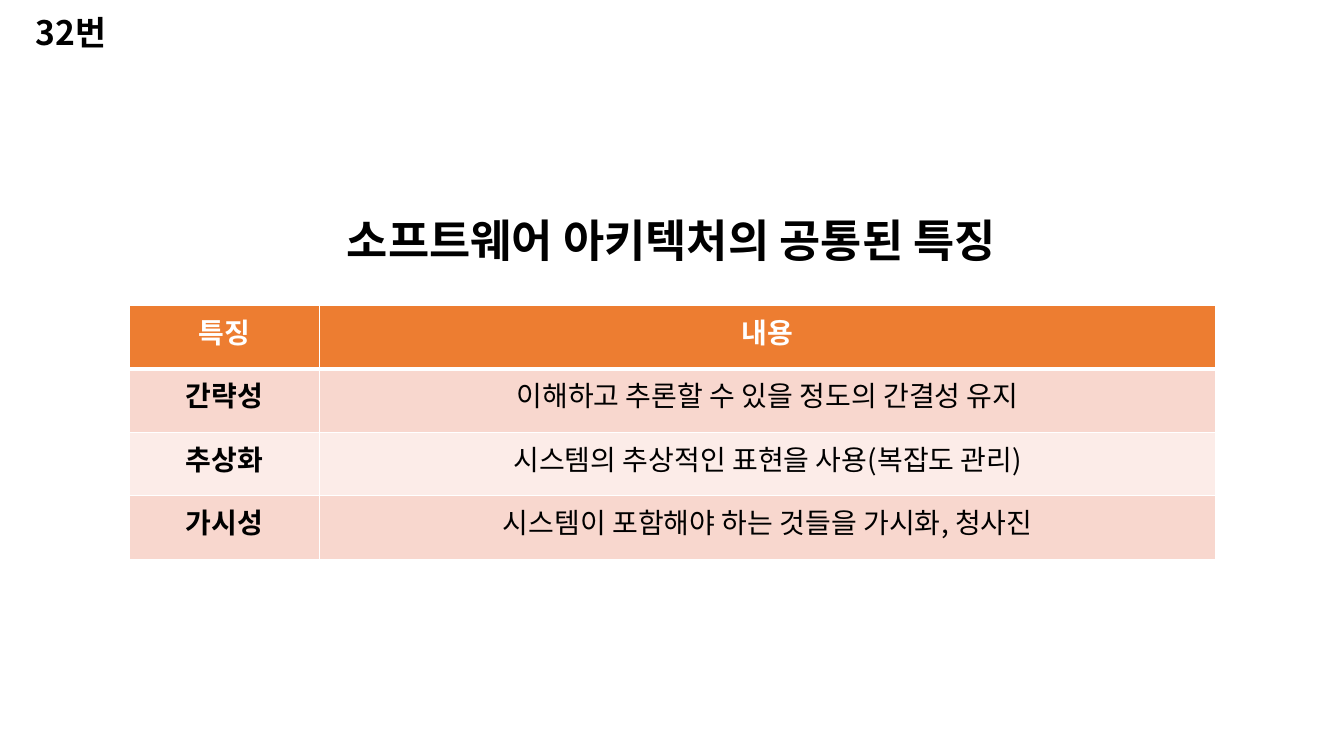
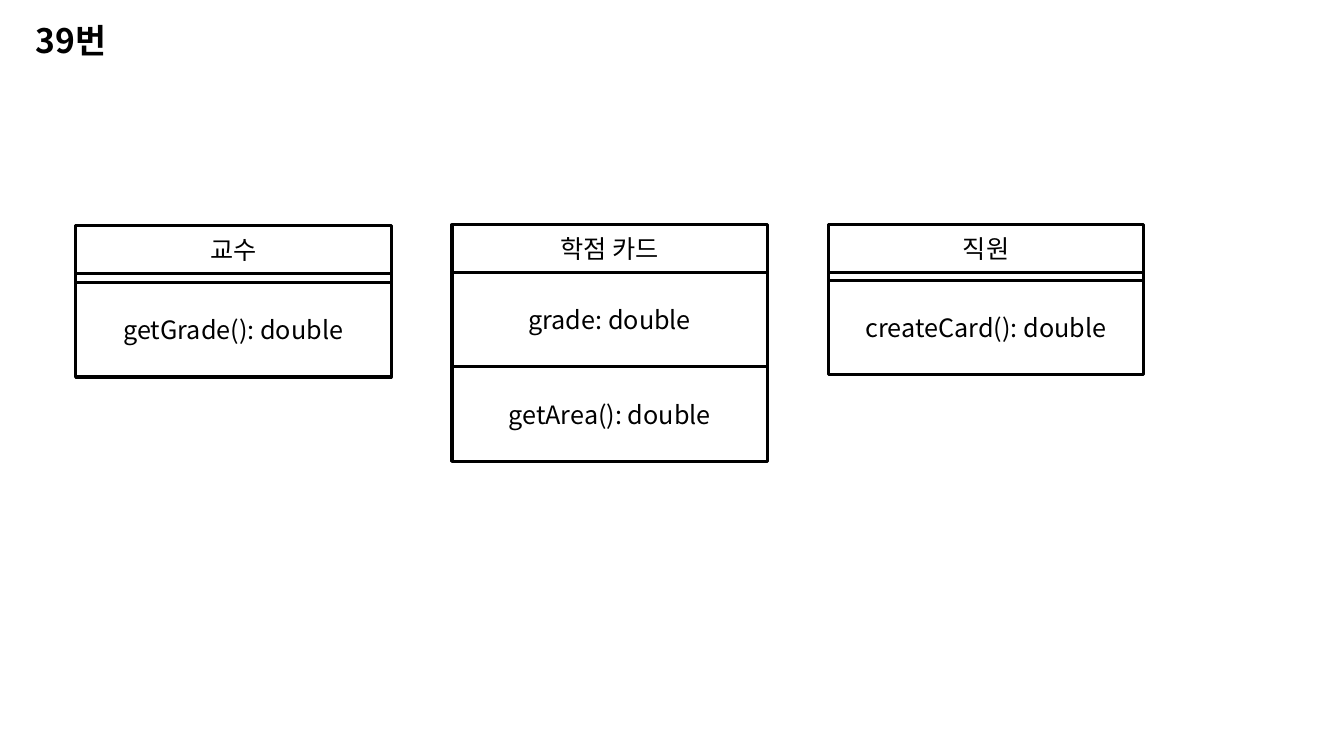
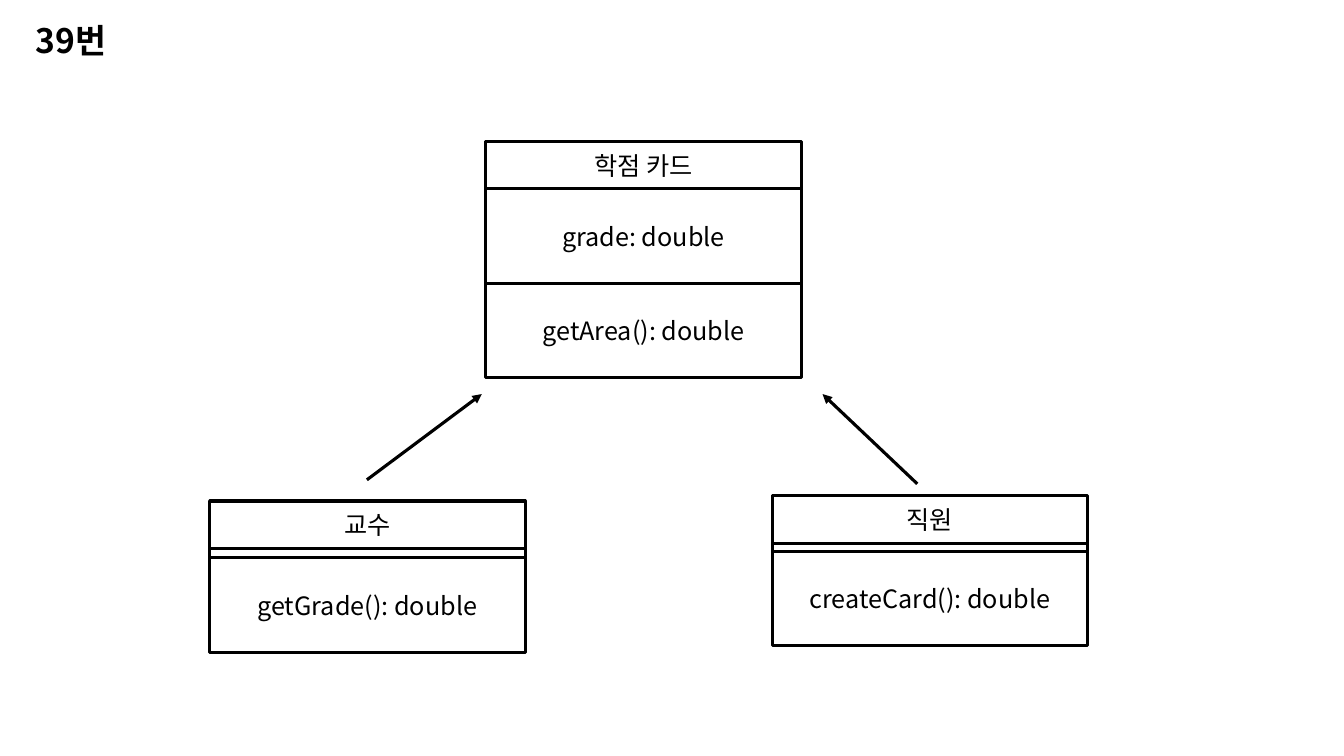
import pptx
import pptx.util
import pptx.dml.color
import pptx.enum.shapes
import pptx.enum.text
import pptx.oxml.ns
from lxml import etree

COLORS = {
    "ink": "000000",
    "paper": "FFFFFF",
    "header": "ED7D31",
    "band_dark": "F8D7CE",
    "band_light": "FCECE8",
}
FONT = "Noto Sans CJK KR"
SLIDE_WIDTH = pptx.util.Inches(13.33)
SLIDE_HEIGHT = pptx.util.Inches(7.5)
OUTLINE = pptx.util.Pt(2.25)
ALIGN = pptx.enum.text.PP_ALIGN
ANCHOR = pptx.enum.text.MSO_ANCHOR

CLASS_WIDTH = 23.47
NAME_HEIGHT = 6.3
MEMBER_HEIGHT = 12.5
PROFESSOR = [("교수", NAME_HEIGHT), ("", 1.2), ("getGrade(): double", MEMBER_HEIGHT)]
GRADE_CARD = [("학점 카드", NAME_HEIGHT), ("grade: double", MEMBER_HEIGHT),
              ("getArea(): double", MEMBER_HEIGHT)]
STAFF = [("직원", NAME_HEIGHT), ("", 1.1), ("createCard(): double", 12.4)]

FEATURES = [
    ("특징", "내용"),
    ("간략성", "이해하고 추론할 수 있을 정도의 간결성 유지"),
    ("추상화", "시스템의 추상적인 표현을 사용(복잡도 관리)"),
    ("가시성", "시스템이 포함해야 하는 것들을 가시화, 청사진"),
]


def across(percent):
    return round(SLIDE_WIDTH * percent / 100)


def down(percent):
    return round(SLIDE_HEIGHT * percent / 100)


def area(left, top, width, height):
    return across(left), down(top), across(width), down(height)


def rgb(name):
    return pptx.dml.color.RGBColor.from_string(COLORS[name])


def add_node(parent, tag, **attributes):
    return etree.SubElement(parent, pptx.oxml.ns.qn(tag), attributes)


def write(frame, text, size, color="ink", bold=False, align=ALIGN.CENTER):
    frame.text = text
    for paragraph in frame.paragraphs:
        paragraph.alignment = align
        for run in paragraph.runs:
            run.font.size = pptx.util.Pt(size)
            run.font.bold = bold
            run.font.color.rgb = rgb(color)
            run.font.name = FONT
            add_node(run.font._element, "a:ea", typeface=FONT)


def add_question(deck, number, top):
    slide = deck.slides.add_slide(deck.slide_layouts[5])
    title = slide.shapes.title
    title.left, title.top, title.width, title.height = area(1.88, top, 7.58, 6.67)
    frame = title.text_frame
    write(frame, number, 24, bold=True, align=ALIGN.LEFT)
    frame.word_wrap = False
    frame.auto_size = pptx.enum.text.MSO_AUTO_SIZE.NONE
    frame.vertical_anchor = ANCHOR.TOP
    return slide


def add_heading(slide, text):
    heading = slide.shapes.add_textbox(*area(17.1, 27.47, 65.78, 8.53))
    heading.text_frame.word_wrap = True
    write(heading.text_frame, text, 32, bold=True)


def add_borders(cell, bottom_points):
    properties = cell._tc.get_or_add_tcPr()
    for side, points in (("L", 1), ("R", 1), ("T", 1), ("B", bottom_points)):
        border = add_node(properties, "a:ln" + side, w=str(pptx.util.Pt(points)))
        fill = add_node(border, "a:solidFill")
        add_node(fill, "a:srgbClr", val=COLORS["paper"])


def add_feature_table(slide, rows):
    column_widths = (14.18, 66.68)
    row_height = 8.4
    place = area(9.6, 40.4, sum(column_widths), row_height * len(rows))
    table = slide.shapes.add_table(len(rows), len(column_widths), *place).table
    for column, width in zip(table.columns, column_widths):
        column.width = across(width)
    for row_index, texts in enumerate(rows):
        table.rows[row_index].height = down(row_height)
        is_header = row_index == 0
        band = "header" if is_header else ("band_light", "band_dark")[row_index % 2]
        for column_index, text in enumerate(texts):
            cell = table.cell(row_index, column_index)
            add_borders(cell, 3 if is_header else 1)
            cell.fill.solid()
            cell.fill.fore_color.rgb = rgb(band)
            write(cell.text_frame, text, 20, "paper" if is_header else "ink",
                  bold=is_header or column_index == 0)


def add_class(slide, left, top, compartments):
    diagram = slide.shapes.add_group_shape()
    for text, height in compartments:
        compartment = diagram.shapes.add_shape(
            pptx.enum.shapes.MSO_SHAPE.RECTANGLE, *area(left, top, CLASS_WIDTH, height))
        compartment.shadow.inherit = False
        compartment.fill.solid()
        compartment.fill.fore_color.rgb = rgb("paper")
        compartment.line.color.rgb = rgb("ink")
        compartment.line.width = OUTLINE
        if text:
            compartment.text_frame.vertical_anchor = ANCHOR.MIDDLE
            write(compartment.text_frame, text, 18)
        top += height


def add_arrow(slide, start, end):
    arrow = slide.shapes.add_connector(
        pptx.enum.shapes.MSO_CONNECTOR.STRAIGHT,
        across(start[0]), down(start[1]), across(end[0]), down(end[1]))
    arrow.line.color.rgb = rgb("ink")
    arrow.line.width = OUTLINE
    properties = arrow._element.spPr
    add_node(properties.find(pptx.oxml.ns.qn("a:ln")), "a:tailEnd", type="triangle")
    add_node(properties, "a:effectLst")


def main():
    deck = pptx.Presentation()
    deck.slide_width = SLIDE_WIDTH
    deck.slide_height = SLIDE_HEIGHT

    features = add_question(deck, "32번", 0.93)
    add_feature_table(features, FEATURES)
    add_heading(features, "소프트웨어 아키텍처의 공통된 특징")

    classes = add_question(deck, "39번", 2)
    tops = (29.87, 29.73, 29.73)
    for index, (top, compartments) in enumerate(zip(tops, (PROFESSOR, GRADE_CARD, STAFF))):
        add_class(classes, 5.63 + 28 * index, top, compartments)

    inheritance = add_question(deck, "39번", 2)
    add_arrow(inheritance, (27.3, 63.47), (35.85, 52.13))
    add_arrow(inheritance, (68.25, 64), (61.2, 52.13))
    add_class(inheritance, 15.6, 66.27, PROFESSOR)
    add_class(inheritance, 36.15, 18.67, GRADE_CARD)
    add_class(inheritance, 57.45, 65.6, STAFF)

    deck.save("out.pptx")


if __name__ == "__main__":
    main()
